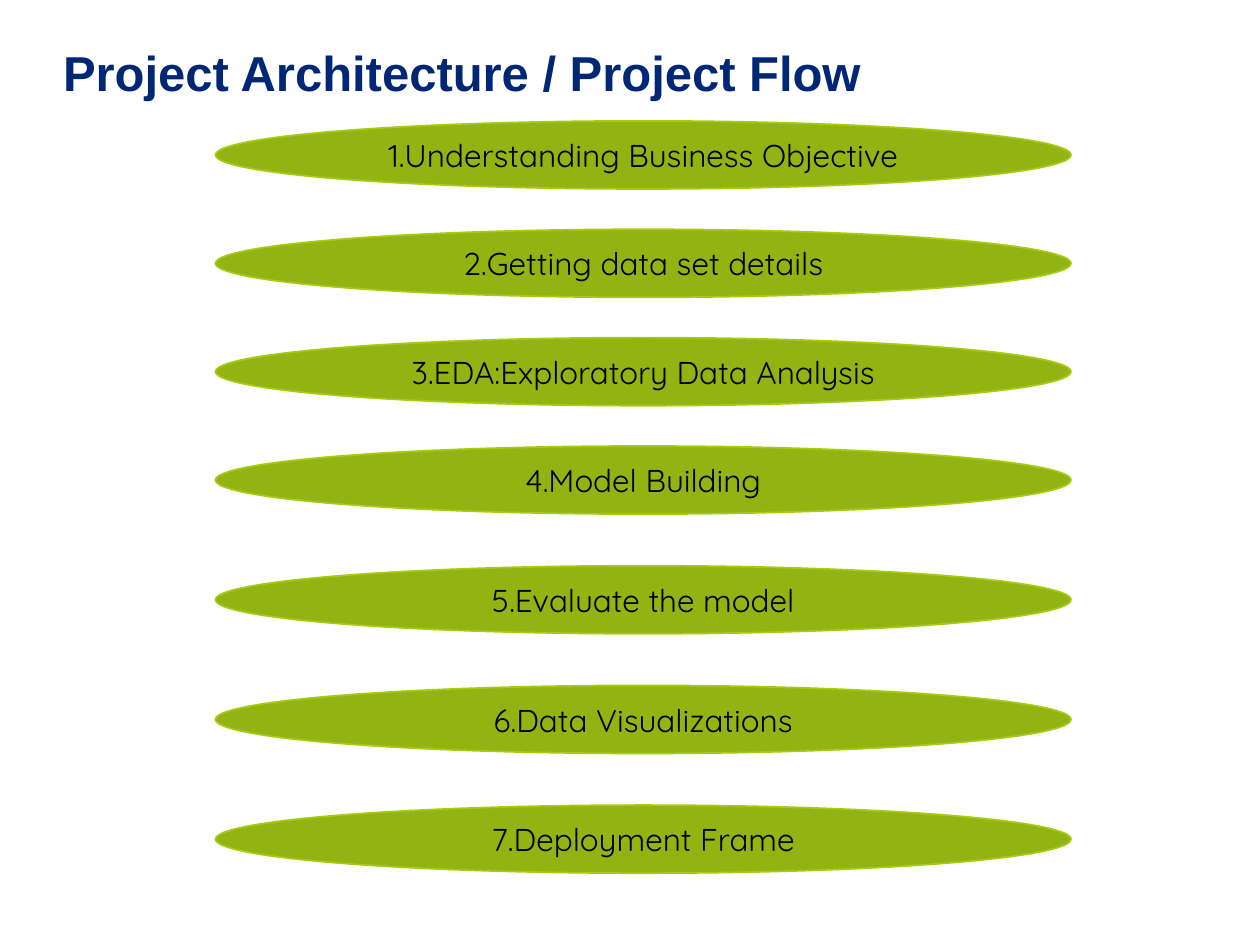
from dataclasses import dataclass
from itertools import accumulate

from pptx import Presentation
from pptx.dml.color import RGBColor
from pptx.enum.shapes import MSO_SHAPE
from pptx.enum.text import MSO_ANCHOR, MSO_AUTO_SIZE, PP_ALIGN
from pptx.util import Inches, Pt

OVAL = MSO_SHAPE.OVAL
TOP, MIDDLE = MSO_ANCHOR.TOP, MSO_ANCHOR.MIDDLE
LEFT, CENTER = PP_ALIGN.LEFT, PP_ALIGN.CENTER
NO_AUTOFIT = MSO_AUTO_SIZE.NONE
TITLE_ONLY_LAYOUT = 5


@dataclass(frozen=True)
class Theme:
    background: RGBColor = RGBColor.from_string("FFFFFF")
    title_color: RGBColor = RGBColor.from_string("002776")
    step_fill: RGBColor = RGBColor.from_string("92B413")
    step_line: RGBColor = RGBColor.from_string("A4CC11")
    step_text: RGBColor = RGBColor.from_string("000000")
    title_font: str = "Arial"
    step_font: str = "Quicksand"
    title_size: int = 28
    step_size: int = 18
    line_width: int = 1


THEME = Theme()
TITLE = "Project Architecture / Project Flow"
STEPS = (
    "Understanding Business Objective",
    "Getting data set details",
    "EDA:Exploratory Data Analysis",
    "Model Building",
    "Evaluate the model",
    "Data Visualizations",
    "Deployment Frame",
)
FIRST_STEP_TOP = 0.96
TIGHT_PITCH, LOOSE_PITCH = 0.86, 0.95
STEP_LEFT, STEP_WIDTH, STEP_HEIGHT = 1.71, 6.79, 0.54


def write_text(shape, text, font_name, size, color, alignment, anchor, bold=False):
    frame = shape.text_frame
    frame.word_wrap = True
    frame.auto_size = NO_AUTOFIT
    frame.vertical_anchor = anchor
    frame.margin_left = frame.margin_right = Inches(0.1)
    frame.margin_top = frame.margin_bottom = Inches(0.05)
    paragraph = frame.paragraphs[0]
    paragraph.alignment = alignment
    run = paragraph.add_run()
    run.text = text
    run.font.name = font_name
    run.font.size = Pt(size)
    run.font.bold = bold
    run.font.color.rgb = color


def add_title(slide):
    title = slide.shapes.title
    title.left, title.top = Inches(0.4), Inches(0.29)
    title.width, title.height = Inches(6.71), Inches(0.57)
    write_text(title, TITLE, THEME.title_font, THEME.title_size,
               THEME.title_color, LEFT, TOP, bold=True)


def add_step(slide, text, top):
    step = slide.shapes.add_shape(OVAL, Inches(STEP_LEFT), Inches(top),
                                  Inches(STEP_WIDTH), Inches(STEP_HEIGHT))
    step.shadow.inherit = False
    step.fill.solid()
    step.fill.fore_color.rgb = THEME.step_fill
    step.line.color.rgb = THEME.step_line
    step.line.width = Pt(THEME.line_width)
    write_text(step, text, THEME.step_font, THEME.step_size,
               THEME.step_text, CENTER, MIDDLE)


def main():
    presentation = Presentation()
    presentation.slide_width, presentation.slide_height = Inches(10), Inches(7.5)
    slide = presentation.slides.add_slide(presentation.slide_layouts[TITLE_ONLY_LAYOUT])
    slide.background.fill.solid()
    slide.background.fill.fore_color.rgb = THEME.background
    add_title(slide)
    pitches = [TIGHT_PITCH] * 3 + [LOOSE_PITCH] * 3
    tops = accumulate(pitches, initial=FIRST_STEP_TOP)
    for number, (step, top) in enumerate(zip(STEPS, tops), start=1):
        add_step(slide, f"{number}.{step}", top)
    presentation.save("out.pptx")


if __name__ == "__main__":
    main()
